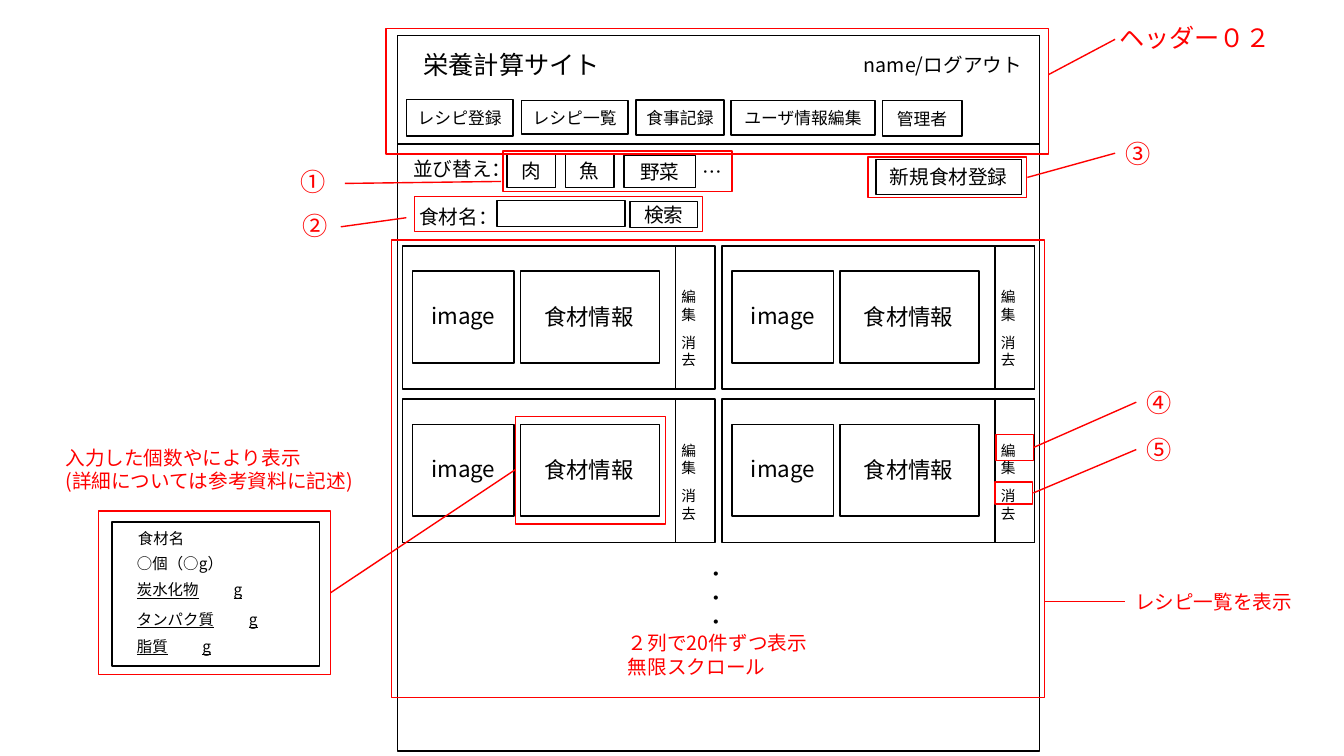
import pptx
import pptx.util
import pptx.dml.color
import pptx.enum.shapes
import pptx.enum.text
import pptx.oxml.ns
import lxml.etree

PX = 9144  # EMU per px, 100 px to the inch
FONT = "Noto Sans CJK JP"
COLORS = {"ink": "000000", "note": "FF0000"}
ALIGN = pptx.enum.text.PP_ALIGN
qn = pptx.oxml.ns.qn

prs = pptx.Presentation()
prs.slide_width, prs.slide_height = 1333 * PX, 750 * PX
slide = prs.slides.add_slide(prs.slide_layouts[5])


def write(tf, text, size, color, align=ALIGN.LEFT, underline=None):
    for i, line in enumerate(text.split("\n")):
        p = tf.paragraphs[0] if i == 0 else tf.add_paragraph()
        p.alignment = align
        r = p.add_run()
        r.text = line
        r.font.size = pptx.util.Pt(size)
        r.font.name = FONT
        r.font.underline = underline
        r.font.color.rgb = pptx.dml.color.RGBColor.from_string(COLORS[color])
        ea = lxml.etree.SubElement(r.font._element, qn("a:ea"))
        ea.set("typeface", FONT)


def box(x, y, w, h, color="ink", text="", size=14):
    sp = slide.shapes.add_shape(pptx.enum.shapes.MSO_SHAPE.RECTANGLE,
                                x * PX, y * PX, w * PX, h * PX)
    sp.shadow.inherit = False
    sp.fill.background()
    sp.line.color.rgb = pptx.dml.color.RGBColor.from_string(COLORS[color])
    sp.line.width = pptx.util.Pt(1)
    if text:
        sp.text_frame.vertical_anchor = pptx.enum.text.MSO_ANCHOR.MIDDLE
        write(sp.text_frame, text, size, color, ALIGN.CENTER)


# Site title
title = slide.shapes.title
title.left, title.top, title.width, title.height = 410 * PX, 44 * PX, 200 * PX, 40 * PX
tf = title.text_frame
tf.word_wrap = True
tf.auto_size = pptx.enum.text.MSO_AUTO_SIZE.NONE
tf.vertical_anchor = pptx.enum.text.MSO_ANCHOR.TOP
write(tf, "栄養計算サイト", 18, "ink")

# Page, header, search field and detail panel
for frame in [(394, 35, 637, 710), (394, 35, 637, 108),
              (493, 199, 127, 26), (111, 518, 206, 143)]:
    box(*frame)

# Navigation, sort, search and register buttons
for x, y, w, h, text, size in [
    (403, 99, 106, 36, "レシピ登録", 12),
    (517, 100, 106, 33, "レシピ一覧", 12),
    (631, 99, 87, 35, "食事記録", 12),
    (725, 100, 143, 34, "ユーザ情報編集", 12),
    (875, 100, 79, 35, "管理者", 12),
    (503, 153, 48, 33, "肉", 14),
    (561, 153, 48, 33, "魚", 14),
    (619, 154, 71, 32, "野菜", 14),
    (625, 200, 67, 26, "検索", 14),
    (869, 158, 144, 35, "新規食材登録", 14),
]:
    box(x, y, w, h, "ink", text, size)

# Labels: x, y, w, h, text, size, color, wrap
labels = [
    (847, 48, 187, 34, "name/ログアウト", 14, "ink", True),
    (400, 151, 126, 34, "並び替え：", 14, "ink", True),
    (687, 154, 44, 34, "…", 14, "ink", True),
    (406, 198, 110, 34, "食材名：", 14, "ink", True),
    (691, 553, 46, 81, "・\n・\n・", 14, "ink", True),
    (127, 520, 191, 29, "食材名", 11, "ink", True),
    (126, 545, 191, 29, "○個（○g）", 11, "ink", True),
    (55, 437, 345, 57, "入力した個数やにより表示\n(詳細については参考資料に記述)", 14, "note", True),
    (613, 621, 257, 57, "２列で20件ずつ表示\n無限スクロール", 14, "note", True),
    (1116, 580, 184, 34, "レシピ一覧を表示", 14, "note", True),
    (1100, 17, 172, 40, "ヘッダー０２", 18, "note", False),
    (288, 160, 45, 40, "①", 18, "note", False),
    (290, 204, 47, 41, "②", 18, "note", False),
    (1106, 132, 45, 40, "③", 18, "note", False),
    (1127, 379, 45, 40, "④", 18, "note", False),
    (1127, 426, 45, 40, "⑤", 18, "note", False),
]

# Ingredient cards, two by two
for y in (244, 396):
    for x in (399, 716):
        box(x, y, 310, 142)
        box(x + 10, y + 25, 101, 91)
        box(x + 117, y + 25, 138, 91)
        box(x + 271, y, 39, 142)
        labels += [
            (x + 19, y + 51, 86, 45, "image", 16, "ink", True),
            (x + 131, y + 52, 115, 45, "食材情報", 16, "ink", True),
            (x + 267, y + 37, 36, 45, "編集", 10.5, "ink", True),
            (x + 267, y + 82, 36, 45, "消去", 10.5, "ink", True),
        ]

for x, y, w, h, text, size, color, wrap in labels:
    tf = slide.shapes.add_textbox(x * PX, y * PX, w * PX, h * PX).text_frame
    tf.word_wrap = wrap
    tf.auto_size = pptx.enum.text.MSO_AUTO_SIZE.SHAPE_TO_FIT_TEXT
    write(tf, text, size, color)

# Nutrients with an underlined blank up to a tab stop
for y, nutrient, stop in [(571, "炭水化物", 96), (600, "タンパク質", 111), (627, "脂質", 65)]:
    tf = slide.shapes.add_textbox(126 * PX, y * PX, 186 * PX, 29 * PX).text_frame
    tf.word_wrap = True
    write(tf, nutrient + "\tg", 11, "ink", underline=True)
    tabs = lxml.etree.SubElement(tf.paragraphs[0]._p.get_or_add_pPr(), qn("a:tabLst"))
    lxml.etree.SubElement(tabs, qn("a:tab"), pos=str(stop * PX), algn="l")

# Red callout frames
for frame in [
    (383, 28, 657, 125), (499, 150, 227, 40), (411, 195, 286, 35),
    (861, 156, 157, 40), (388, 238, 648, 454), (511, 413, 149, 107),
    (98, 507, 230, 162), (988, 431, 37, 26), (987, 478, 37, 22),
]:
    box(*frame, "note")

# Red leader lines
for x1, y1, x2, y2 in [
    (1040, 74, 1106, 39), (342, 182, 497, 180), (338, 225, 403, 216),
    (1019, 176, 1106, 152), (1025, 444, 1127, 399), (1025, 489, 1127, 446),
    (511, 466, 328, 588), (1036, 597, 1116, 597),
]:
    line = slide.shapes.add_connector(pptx.enum.shapes.MSO_CONNECTOR.STRAIGHT,
                                      x1 * PX, y1 * PX, x2 * PX, y2 * PX)
    line.line.color.rgb = pptx.dml.color.RGBColor.from_string(COLORS["note"])
    line.line.width = pptx.util.Pt(1)
    lxml.etree.SubElement(line._element.spPr, qn("a:effectLst"))

prs.save("out.pptx")
